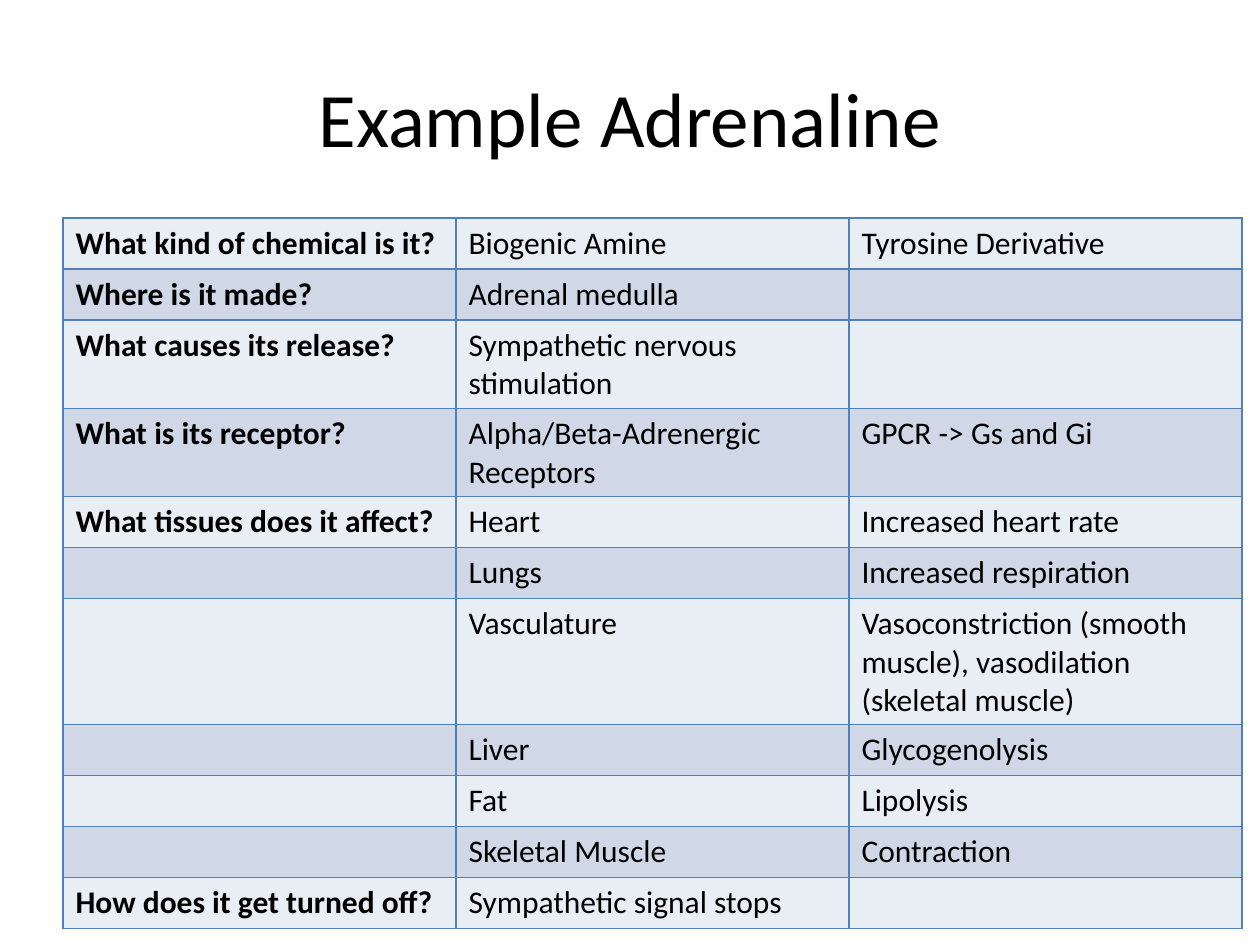
from lxml import etree
from pptx import Presentation
from pptx.dml.color import RGBColor
from pptx.enum.text import MSO_ANCHOR, PP_ALIGN
from pptx.oxml.ns import qn
from pptx.util import Pt

TITLE = "Example Adrenaline"
ROWS = [
    ("What kind of chemical is it?", "Biogenic Amine", "Tyrosine Derivative"),
    ("Where is it made?", "Adrenal medulla", ""),
    ("What causes its release?", "Sympathetic nervous stimulation", ""),
    ("What is its receptor?", "Alpha/Beta-Adrenergic Receptors", "GPCR -> Gs and Gi"),
    ("What tissues does it affect?", "Heart", "Increased heart rate"),
    ("", "Lungs", "Increased respiration"),
    ("", "Vasculature",
     "Vasoconstriction (smooth muscle), vasodilation (skeletal muscle)"),
    ("", "Liver", "Glycogenolysis"),
    ("", "Fat", "Lipolysis"),
    ("", "Skeletal Muscle", "Contraction"),
    ("How does it get turned off?", "Sympathetic signal stops", ""),
]

FONT = "Calibri"
BLACK = RGBColor(0x00, 0x00, 0x00)
BORDER = RGBColor(0x4F, 0x81, 0xBD)
BANDS = (RGBColor(0xE9, 0xED, 0xF4), RGBColor(0xD0, 0xD8, 0xE8))

PX_PER_INCH = 126
LEFT, TABLE_TOP = 63, 218
COLUMN_WIDTH, ROW_HEIGHT = 393, 51


def px(length):
    return round(length * 914400 / PX_PER_INCH)


def style_font(paragraph, size, bold=False):
    font = paragraph.font
    font.name, font.size, font.bold = FONT, Pt(size), bold
    font.color.rgb = BLACK


def add_borders(cell):
    properties = cell._tc.get_or_add_tcPr()
    for index, side in enumerate(("a:lnL", "a:lnR", "a:lnT", "a:lnB")):
        line = etree.Element(qn(side), w=str(Pt(1)))
        fill = etree.SubElement(line, qn("a:solidFill"))
        etree.SubElement(fill, qn("a:srgbClr"), val=str(BORDER))
        properties.insert(index, line)  # borders come before the cell fill


presentation = Presentation()
presentation.slide_width, presentation.slide_height = px(1260), px(945)
slide = presentation.slides.add_slide(presentation.slide_layouts[6])

# Title
title = slide.shapes.add_textbox(px(LEFT), px(38), px(1134), px(157))
frame = title.text_frame
frame.word_wrap = True
frame.vertical_anchor = MSO_ANCHOR.MIDDLE
frame.text = TITLE
frame.paragraphs[0].alignment = PP_ALIGN.CENTER
style_font(frame.paragraphs[0], 44)

# Question table: bold first column, banded rows
column_count = len(ROWS[0])
table = slide.shapes.add_table(
    len(ROWS), column_count, px(LEFT), px(TABLE_TOP),
    px(COLUMN_WIDTH * column_count), px(ROW_HEIGHT * len(ROWS))).table
table.first_row = table.horz_banding = False
for row_index, texts in enumerate(ROWS):
    table.rows[row_index].height = px(ROW_HEIGHT)
    for column_index, text in enumerate(texts):
        cell = table.cell(row_index, column_index)
        cell.text = text
        cell.fill.solid()
        cell.fill.fore_color.rgb = BANDS[row_index % 2]
        add_borders(cell)
        style_font(cell.text_frame.paragraphs[0], 18, bold=column_index == 0)

presentation.save("out.pptx")
